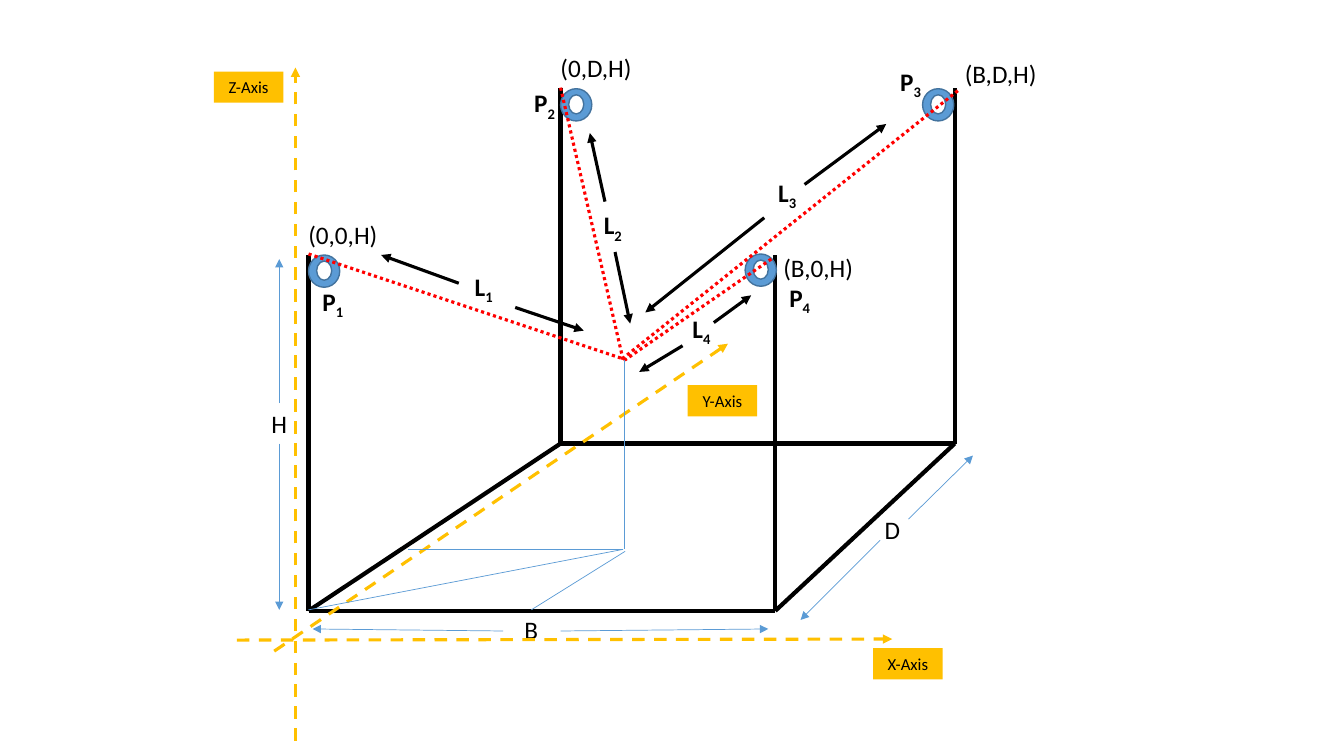
"""Build a slide showing a four-cable robot frame with its axes and dimensions."""
from lxml import etree
from pptx import Presentation
from pptx.dml.color import RGBColor
from pptx.enum.dml import MSO_LINE
from pptx.enum.shapes import MSO_CONNECTOR, MSO_SHAPE
from pptx.enum.text import MSO_ANCHOR, PP_ALIGN
from pptx.oxml.ns import qn
from pptx.util import Inches, Pt

STRAIGHT = MSO_CONNECTOR.STRAIGHT
RECT, OVAL = MSO_SHAPE.RECTANGLE, MSO_SHAPE.OVAL
DASH, DOT = MSO_LINE.DASH, MSO_LINE.ROUND_DOT
LEFT, CENTER, MIDDLE = PP_ALIGN.LEFT, PP_ALIGN.CENTER, MSO_ANCHOR.MIDDLE
BLACK, WHITE, RED = "000000", "FFFFFF", "FF0000"
BLUE, NAVY, GOLD = "5B9BD5", "43739E", "FFC000"

BASE = [(3.06, 6.06), (7.69, 6.06), (9.47, 4.4), (5.56, 4.4)]
POST_H = 3.53
POSTS = [(x, y, x, y - POST_H) for x, y in BASE]
EDGES = [a + b for a, b in zip(BASE, BASE[1:] + BASE[:1])]
PULLEYS = [(3.06, 2.53), (7.39, 2.52), (9.15, 0.88), (5.56, 0.88)]
CABLES = [(3.06, 2.52, 6.21, 3.57), (7.65, 2.57, 6.2, 3.57),
          (5.56, 0.87, 6.18, 3.57), (9.5, 0.9, 6.16, 3.57)]
DIM_LABELS = [("B", 4.99, 6.05), ("D", 8.57, 5.05), ("H", 2.49, 4)]
DIM_ARROWS = [(2.77, 4, 2.77, 2.57), (2.77, 4.4, 2.77, 6.05),
              (4.99, 6.26, 3.1, 6.24), (5.56, 6.26, 7.62, 6.24),
              (8.73, 5.36, 7.94, 6.15), (9.01, 5.15, 9.65, 4.52)]
AXES = [(2.93, 7.35, 2.93, 0.67), (2.35, 6.35, 8.85, 6.34),
        (2.72, 6.46, 7.22, 3.41)]
AXIS_LABELS = [("X-Axis", 8.66, 6.43), ("Y-Axis", 6.82, 3.82),
               ("Z-Axis", 2.12, 0.71)]
PROJECTIONS = [(6.19, 3.57, 6.19, 5.45), (3.06, 6.05, 6.18, 5.45),
               (5.27, 6.05, 6.2, 5.47), (4.05, 5.45, 6.18, 5.45)]
COORDS = [("(0,0,H)", 2.96, 2.13), ("(0,D,H)", 5.46, 0.47),
          ("(B,D,H)", 9.47, 0.53), ("(B,0,H)", 7.67, 2.45)]
LENGTH_LABELS = [(4.61, 2.64), (5.89, 2.03), (7.62, 1.71), (6.77, 3.06)]
LENGTH_ARROWS = [(5.11, 3.05, 5.79, 3.28), (4.55, 2.81, 3.78, 2.53),
                 (6.1, 2.5, 6.25, 3.21), (7.58, 2.16, 6.4, 3.1),
                 (6.77, 3.43, 6.34, 3.69), (6, 2, 5.85, 1.32),
                 (7.98, 1.83, 8.79, 1.23), (7.08, 3.2, 7.45, 2.93)]
POINT_LABELS = [(3.1, 2.79), (5.2, 0.82), (8.83, 0.61), (7.73, 2.75)]


def rgb(color):
    return RGBColor.from_string(color)


def add_lines(ends, color, width, dash=None, arrow=False):
    for end in ends:
        c = s.shapes.add_connector(STRAIGHT, *map(Inches, end))
        c.line.color.rgb = rgb(color)
        c.line.width = Pt(width)
        if dash:
            c.line.dash_style = dash
        if arrow:
            etree.SubElement(c.line._get_or_add_ln(), qn("a:tailEnd"), type="triangle")
        etree.SubElement(c._element.spPr, qn("a:effectLst"))


def add_shape(shapes, kind, box, fill, line=None):
    sp = shapes.add_shape(kind, *map(Inches, box))
    sp.shadow.inherit = False
    sp.fill.solid()
    sp.fill.fore_color.rgb = rgb(fill)
    if line:
        sp.line.color.rgb = rgb(line)
        sp.line.width = Pt(1)
    else:
        sp.line.fill.background()
    return sp


def write(sp, text, sub="", size=18, align=LEFT):
    tf = sp.text_frame
    tf.word_wrap = True
    p = tf.paragraphs[0]
    p.text = text
    p.alignment = align
    if sub:
        p.add_run().text = sub
        p.runs[1]._r.get_or_add_rPr().set("baseline", "-25000")
    for r in p.runs:
        r.font.name = "Calibri"
        r.font.size = Pt(size)
        r.font.bold = bool(sub)
        r.font.color.rgb = rgb(BLACK)


def add_text(text, x, y, width, sub="", align=LEFT):
    write(s.shapes.add_textbox(*map(Inches, (x, y, width, 0.4))), text, sub, align=align)


prs = Presentation()
prs.slide_width, prs.slide_height = Inches(13.33), Inches(7.5)
s = prs.slides.add_slide(prs.slide_layouts[6])

add_lines(POSTS + EDGES, BLACK, 3)
for x, y in PULLEYS:
    pulley = s.shapes.add_group_shape()
    add_shape(pulley.shapes, OVAL, (x, y, 0.31, 0.32), BLUE, NAVY)
    add_shape(pulley.shapes, OVAL, (x + 0.08, y + 0.06, 0.15, 0.19), WHITE, NAVY)
add_lines(CABLES, RED, 2.25, DOT)

for text, x, y in DIM_LABELS:
    add_text(text, x, y, 0.56, align=CENTER)
add_lines(DIM_ARROWS, BLUE, 0.5, arrow=True)

add_lines(AXES, GOLD, 2.25, DASH, arrow=True)
for text, x, y in AXIS_LABELS:
    sp = add_shape(s.shapes, RECT, (x, y, 0.69, 0.31), GOLD)
    sp.text_frame.vertical_anchor = MIDDLE
    write(sp, text, size=12, align=CENTER)
add_lines(PROJECTIONS, BLUE, 0.5)

for text, x, y in COORDS:
    add_text(text, x, y, 1.01)
add_lines(LENGTH_ARROWS, BLACK, 2.25, arrow=True)
for letter, width, places in (("L", 0.57, LENGTH_LABELS), ("P", 0.52, POINT_LABELS)):
    for i, (x, y) in enumerate(places, 1):
        add_text(letter, x, y, width, str(i))

prs.save("out.pptx")
